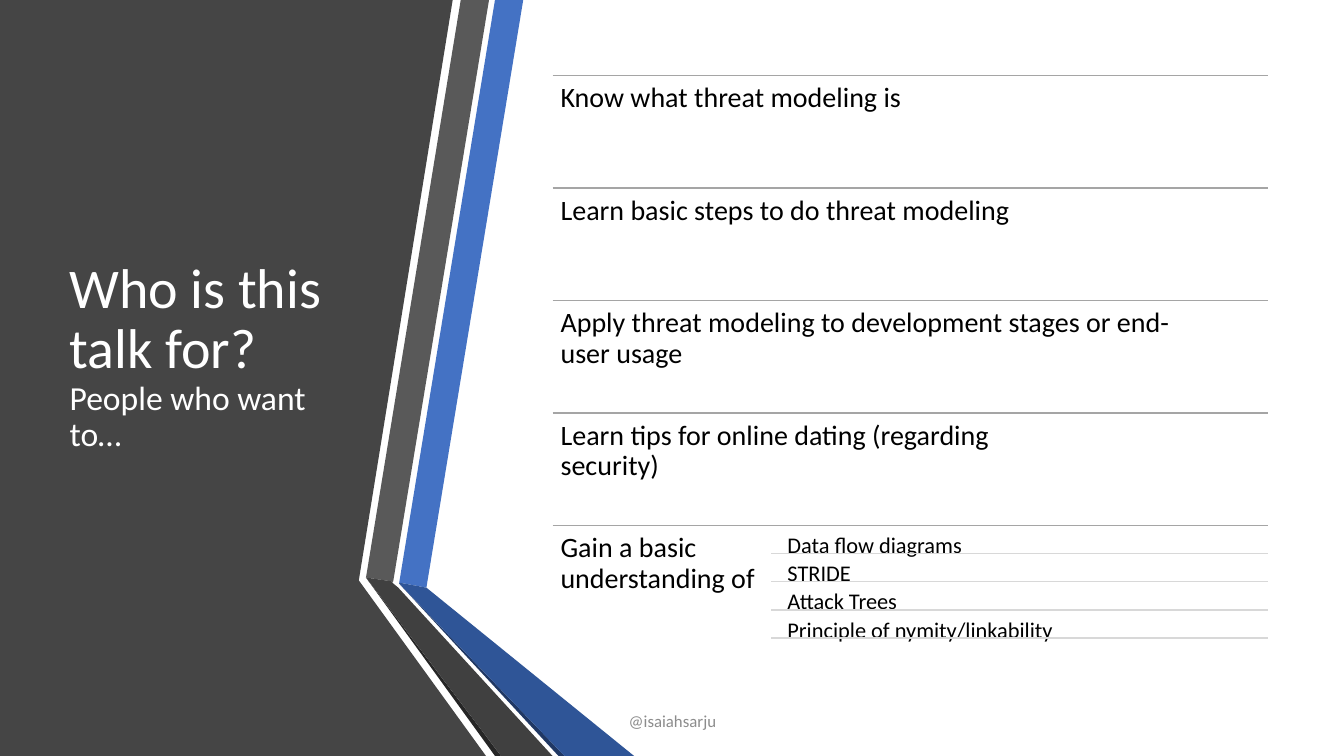
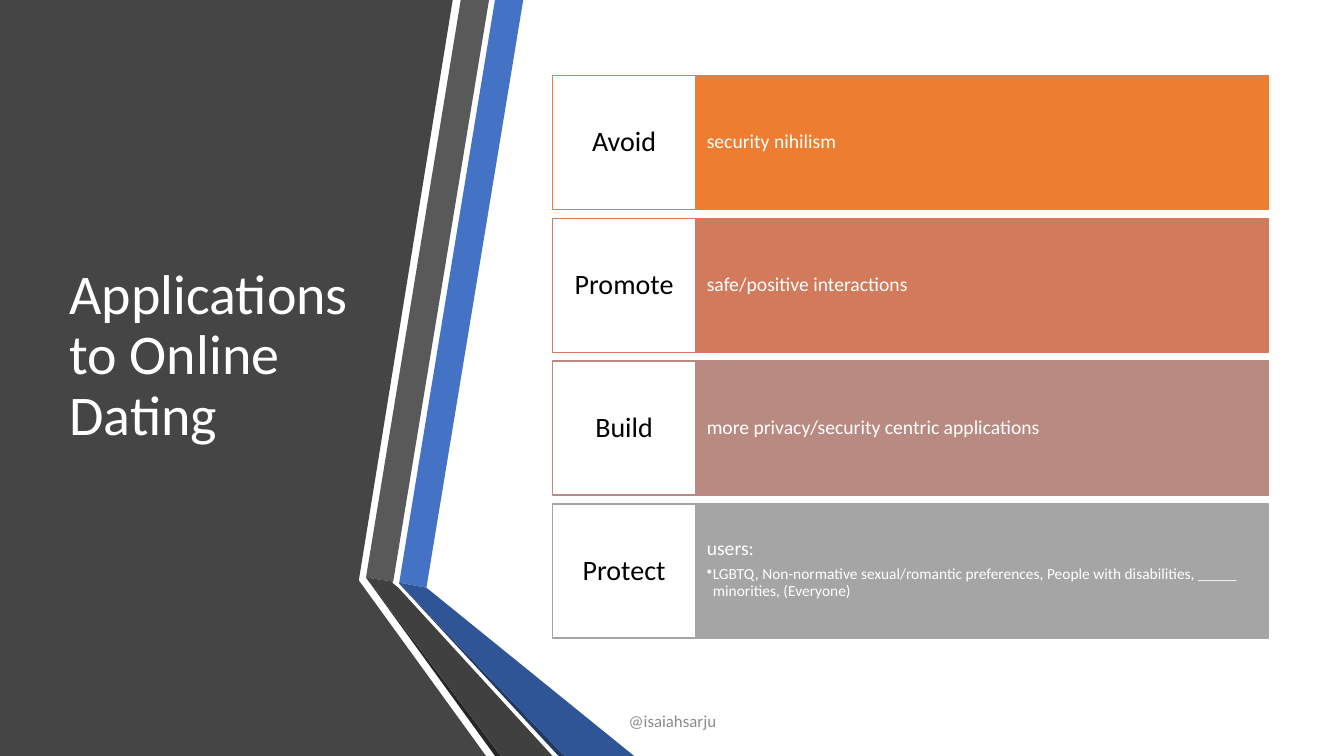
from dataclasses import dataclass

from lxml import etree
from pptx import Presentation
from pptx.dml.color import RGBColor
from pptx.enum.shapes import MSO_CONNECTOR as Connector, MSO_SHAPE as Shape
from pptx.enum.text import MSO_ANCHOR as Anchor, MSO_AUTO_SIZE as AutoSize, PP_ALIGN as Align
from pptx.oxml.ns import qn
from pptx.util import Inches, Pt

FONT = "Calibri"
COLORS = {
    "panel": "454545", "blue": "4472C4", "gray": "595959", "gray_edge": "262626",
    "blue_edge": "203864", "blue_fold": "2F5597", "gray_fold": "404040",
    "white": "FFFFFF", "black": "000000", "footer": "8C8C8C",
    "rule": "A5A5A5", "subrule": "D8D8D8",
    "orange": "ED7D31", "coral": "D17B5C", "rose": "B98A82", "silver": "A5A5A5",
}
LEFT, TOP, RIGHT, HEIGHT = 5.48, 0.75, 12.58, 5.58


@dataclass(frozen=True)
class Band:
    color: str
    points: tuple[tuple[float, float], ...]


@dataclass(frozen=True)
class Goal:
    text: str
    width: float


@dataclass(frozen=True)
class Action:
    verb: str
    text: str
    color: str
    detail: str = ""


@dataclass(frozen=True)
class Style:
    size: float
    color: str
    align: Align = Align.LEFT
    anchor: Anchor = Anchor.TOP
    inset_x: float = 0.1
    inset_y: float = 0.05
    spacing: float = 0.9


BANDS = (
    Band("panel", ((0, 0), (4.49, 0), (3.56, 5.75), (3.56, 5.76), (4.82, 7.5), (0, 7.5))),
    Band("blue", ((3.96, 5.78), (4.23, 5.83), (5.19, 0), (4.91, 0))),
    Band("gray", ((4.85, 0), (4.57, 0), (3.63, 5.73), (3.9, 5.77))),
    Band("gray_edge", ((3.63, 5.73), (4.91, 7.5), (4.97, 7.5))),
    Band("blue_edge", ((3.96, 5.79), (5.54, 7.5), (5.6, 7.5))),
    Band("blue_fold", ((3.96, 5.79), (5.6, 7.5), (6.29, 7.5), (4.23, 5.83), (3.96, 5.78))),
    Band("gray_fold", ((5.48, 7.5), (3.95, 5.83), (3.89, 5.78), (3.9, 5.77), (3.63, 5.73), (4.97, 7.5))),
)
GOALS = (
    Goal("Know what threat modeling is", 5.13),
    Goal("Learn basic steps to do threat modeling", 6.01),
    Goal("Apply threat modeling to development stages or end-user usage", 6.39),
    Goal("Learn tips for online dating (regarding security)", 5.21),
    Goal("Gain a basic understanding of", 2.17),
)
TOPICS = ("Data flow diagrams", "STRIDE", "Attack Trees", "Principle of nymity/linkability")
ACTIONS = (
    Action("Avoid", "security nihilism", "orange"),
    Action("Promote", "safe/positive interactions", "coral"),
    Action("Build", "more privacy/security centric applications", "rose"),
    Action("Protect", "users:", "silver",
           "LGBTQ, Non-normative sexual/romantic preferences, People with disabilities, "
           "_____ minorities, (Everyone)"),
)

FOOTER = Style(12, "footer", Align.CENTER, Anchor.MIDDLE, spacing=1.0)
GOAL = Style(20, "black", inset_x=0.08, inset_y=0.08)
TOPIC = Style(16, "black", inset_x=0.07, inset_y=0.07)
VERB = Style(20, "black", Align.CENTER, Anchor.MIDDLE, 0.08, 0.13)
OBJECT = Style(14, "white", Align.LEFT, Anchor.MIDDLE, 0.11, 0.34)
OBJECT_LIST = Style(14, "white", Align.LEFT, Anchor.TOP, 0.11, 0.34)


def rgb(name: str) -> RGBColor:
    return RGBColor.from_string(COLORS[name])


def set_font(font, size: float, color: str) -> None:
    font.name, font.size = FONT, Pt(size)
    font.color.rgb = rgb(color)


def write(shape, text: str, style: Style) -> None:
    frame = shape.text_frame
    frame.word_wrap = True
    frame.vertical_anchor = style.anchor
    frame.margin_left = frame.margin_right = Inches(style.inset_x)
    frame.margin_top = frame.margin_bottom = Inches(style.inset_y)
    para = frame.paragraphs[0]
    para.text = text
    para.alignment = style.align
    para.line_spacing = style.spacing
    set_font(para.font, style.size, style.color)


def add_text(page, left: float, top: float, width: float, height: float,
             text: str, style: Style) -> None:
    box = page.shapes.add_textbox(Inches(left), Inches(top), Inches(width), Inches(height))
    write(box, text, style)


def add_rule(page, left: float, top: float, color: str) -> None:
    rule = page.shapes.add_connector(
        Connector.STRAIGHT, Inches(left), Inches(top), Inches(RIGHT), Inches(top))
    rule.line.color.rgb = rgb(color)
    rule.line.width = Pt(1)
    etree.SubElement(rule._element.spPr, qn("a:effectLst"))


def add_block(page, left: float, top: float, width: float, height: float,
              fill: str, line: str):
    block = page.shapes.add_shape(
        Shape.RECTANGLE, Inches(left), Inches(top), Inches(width), Inches(height))
    block.shadow.inherit = False
    block.fill.solid()
    block.fill.fore_color.rgb = rgb(fill)
    block.line.color.rgb = rgb(line)
    block.line.width = Pt(1)
    return block


def add_band(page, band: Band) -> None:
    points = [(Inches(x), Inches(y)) for x, y in band.points]
    builder = page.shapes.build_freeform(*points[0])
    builder.add_line_segments(points[1:], close=True)
    shape = builder.convert_to_shape()
    shape.shadow.inherit = False
    shape.fill.solid()
    shape.fill.fore_color.rgb = rgb(band.color)
    shape.line.fill.background()


def add_page(deck, heading: str, subheading: str = ""):
    page = deck.slides.add_slide(deck.slide_layouts.get_by_name("Title Only"))
    for band in BANDS:
        add_band(page, band)
    title = page.shapes.title
    page.shapes._spTree.append(title._element)
    title.left, title.top = Inches(0.59), Inches(TOP)
    title.width, title.height = Inches(3.04), Inches(HEIGHT)
    frame = title.text_frame
    frame.word_wrap = True
    frame.auto_size = AutoSize.NONE
    frame.vertical_anchor = Anchor.MIDDLE
    para = frame.paragraphs[0]
    para.alignment = Align.LEFT
    para.line_spacing = 0.9
    for text, size in ((heading, 40), (subheading, 24)):
        if text:
            if para.runs:
                para.add_line_break()
            span = para.add_run()
            span.text = text
            set_font(span.font, size, "white")
    add_text(page, 4.42, 6.95, 4.5, 0.4, "@isaiahsarju", FOOTER)
    return page


def add_goals(page) -> None:
    pitch = HEIGHT / len(GOALS)
    for index, goal in enumerate(GOALS):
        top = TOP + index * pitch
        add_rule(page, LEFT, top, "rule")
        add_text(page, LEFT, top, goal.width, pitch, goal.text, GOAL)
    left = LEFT + GOALS[-1].width
    step = 0.28
    for index, topic in enumerate(TOPICS):
        top = 5.23 + index * step
        add_text(page, left + 0.09, top, RIGHT - left - 0.09, 0.26, topic, TOPIC)
        add_rule(page, left, top + 0.26, "subrule")


def add_detail(block, text: str) -> None:
    frame = block.text_frame
    frame.paragraphs[0].space_after = Pt(5)
    para = frame.add_paragraph()
    para.text = text
    para.alignment = Align.LEFT
    para.line_spacing = 0.9
    props = para._p.get_or_add_pPr()
    props.set("marL", str(Inches(0.06)))
    props.set("indent", str(Inches(-0.06)))
    etree.SubElement(props, qn("a:buChar")).set("char", "•")
    set_font(para.font, 11, "white")


def add_actions(page) -> None:
    height, verb_width = 1.33, 1.42
    pitch = (HEIGHT - height) / (len(ACTIONS) - 1)
    split = LEFT + verb_width
    for index, action in enumerate(ACTIONS):
        top = TOP + index * pitch
        block = add_block(page, split, top, RIGHT - split, height, action.color, action.color)
        write(block, action.text, OBJECT_LIST if action.detail else OBJECT)
        if action.detail:
            add_detail(block, action.detail)
        label = add_block(page, LEFT, top, verb_width, height, "white", action.color)
        write(label, action.verb, VERB)


def main() -> None:
    deck = Presentation()
    deck.slide_width, deck.slide_height = Inches(13.33), Inches(7.5)
    add_goals(add_page(deck, "Who is this talk for?", "People who want to…"))
    add_actions(add_page(deck, "Applications to Online Dating"))
    deck.save("out.pptx")


if __name__ == "__main__":
    main()
